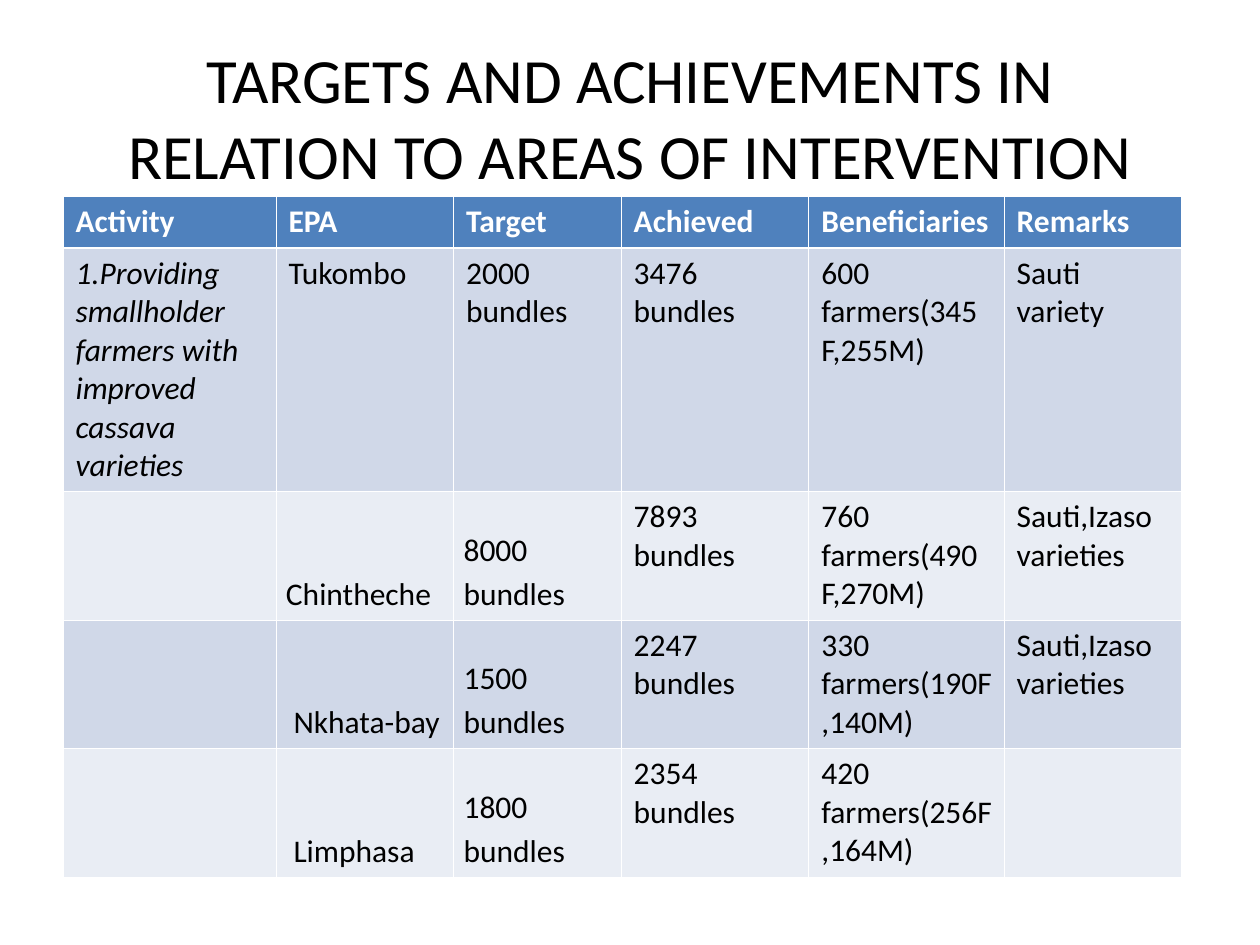
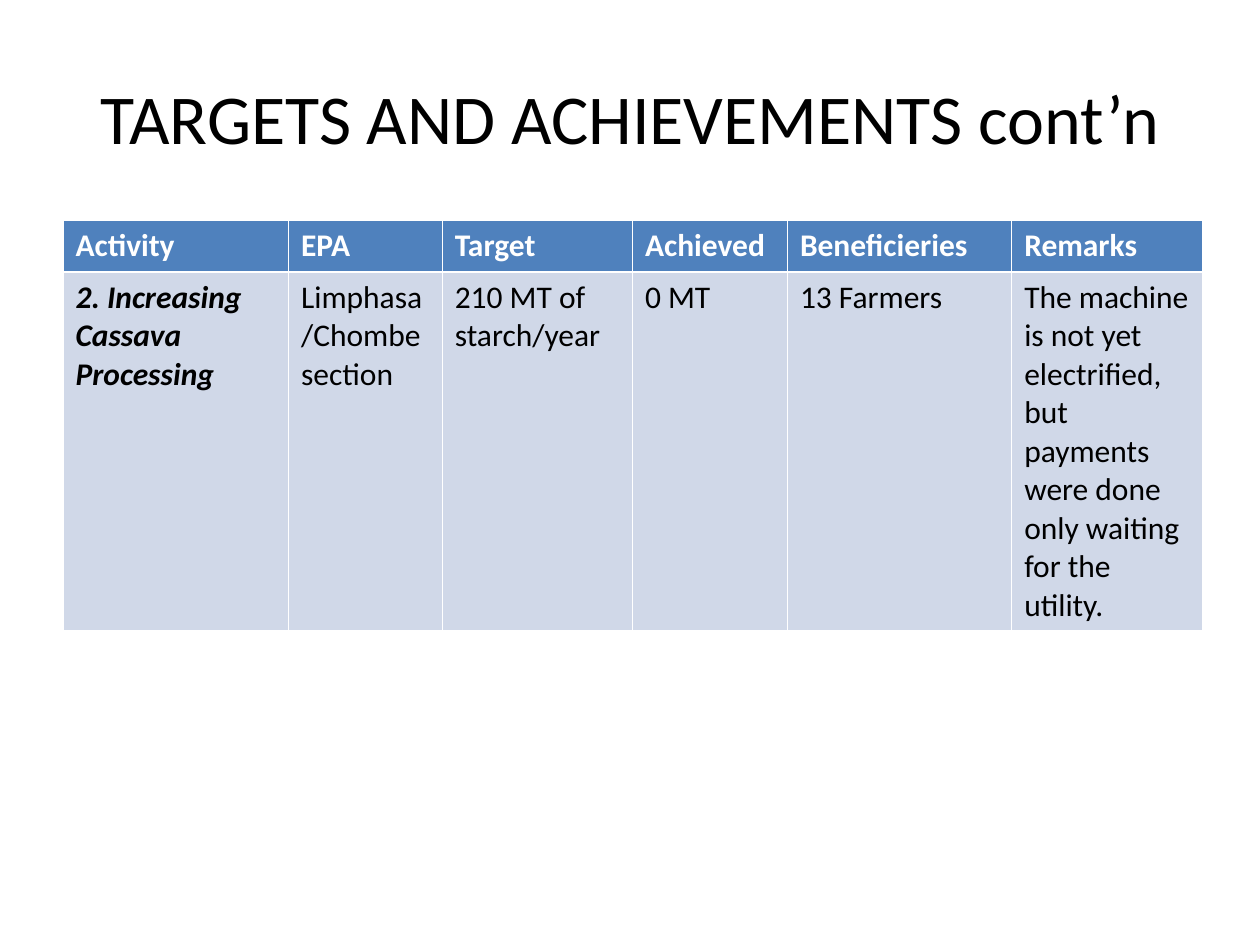
from lxml import etree
from pptx import Presentation
from pptx.dml.color import RGBColor
from pptx.enum.text import MSO_ANCHOR, MSO_AUTO_SIZE, PP_ALIGN
from pptx.oxml.ns import qn
from pptx.util import Inches, Pt

FONT = "Calibri"
COLORS = {
    "header": "4F81BD",
    "odd_row": "D0D8E8",
    "even_row": "E9EDF4",
    "text": "000000",
    "white": "FFFFFF",
}
THIN, THICK = 0.45, 1.47
TITLE_ONLY = 5

SLIDES = [
    {
        "title": "TARGETS AND ACHIEVEMENTS IN RELATION TO AREAS OF INTERVENTION",
        "title_size": 36,
        "top": 1.56,
        "columns": [1.69, 1.41, 1.33, 1.49, 1.55, 1.41],
        "heights": [0.41, 1.93, 1.02, 1.02, 1.02],
        "bold_activity": False,
        "rows": [
            ["Activity", "EPA", "Target", "Achieved", "Beneficiaries", "Remarks"],
            ["1.Providing smallholder farmers with improved cassava varieties", "Tukombo",
             "2000 bundles", "3476 bundles", "600 farmers(345 F,255M)", "Sauti variety"],
            ["", "Chintheche", "8000 bundles", "7893 bundles",
             "760 farmers(490 F,270M)", "Sauti,Izaso varieties"],
            ["", "Nkhata-bay", "1500 bundles", "2247 bundles",
             "330 farmers(190F,140M)", "Sauti,Izaso varieties"],
            ["", "Limphasa", "1800 bundles", "2354 bundles",
             "420 farmers(256F,164M)", ""],
        ],
    },
    {
        "title": "TARGETS AND ACHIEVEMENTS cont’n",
        "title_size": 40,
        "top": 1.75,
        "columns": [1.79, 1.22, 1.51, 1.23, 1.78, 1.51],
        "heights": [0.41, 2.8],
        "bold_activity": True,
        "rows": [
            ["Activity", "EPA", "Target", "Achieved", "Beneficieries", "Remarks"],
            ["2. Increasing Cassava Processing", "Limphasa/Chombe section",
             "210 MT of starch/year", "0 MT", "13 Farmers",
             "The machine is not yet electrified, but payments were done "
             "only waiting for the utility."],
        ],
    },
]


def style_text(para, size, color, bold=False, italic=False):
    for span in para.runs:
        font = span.font
        font.name, font.size = FONT, Pt(size)
        font.bold, font.italic = bold, italic
        font.color.rgb = RGBColor.from_string(COLORS[color])


def set_borders(cell, top, bottom):
    """Draw white borders; they must precede the fill in the cell properties."""
    properties = cell._tc.get_or_add_tcPr()
    widths = {"lnL": THIN, "lnR": THIN, "lnT": top, "lnB": bottom}
    for position, (side, width) in enumerate(widths.items()):
        line = etree.Element(qn(f"a:{side}"), w=str(Pt(width)))
        fill = etree.SubElement(line, qn("a:solidFill"))
        etree.SubElement(fill, qn("a:srgbClr"), val=COLORS["white"])
        properties.insert(position, line)


deck = Presentation()
deck.slide_width, deck.slide_height = Inches(10), Inches(7.5)

for content in SLIDES:
    page = deck.slides.add_slide(deck.slide_layouts[TITLE_ONLY])

    title = page.shapes.title
    title.left, title.top = Inches(0.5), Inches(0.3)
    title.width, title.height = Inches(9), Inches(1.25)
    frame = title.text_frame
    frame.text = content["title"]
    frame.word_wrap = True
    frame.auto_size = MSO_AUTO_SIZE.NONE
    frame.vertical_anchor = MSO_ANCHOR.MIDDLE
    frame.paragraphs[0].alignment = PP_ALIGN.CENTER
    style_text(frame.paragraphs[0], content["title_size"], "text")

    rows, columns, heights = content["rows"], content["columns"], content["heights"]
    table = page.shapes.add_table(
        len(rows), len(columns), Inches(0.5), Inches(content["top"]),
        Inches(sum(columns)), Inches(sum(heights))).table
    for column, width in zip(table.columns, columns):
        column.width = Inches(width)
    for row, height in zip(table.rows, heights):
        row.height = Inches(height)

    for r, row in enumerate(rows):
        is_header = r == 0
        row_fill = "header" if is_header else "odd_row" if r % 2 else "even_row"
        for c, text in enumerate(row):
            cell = table.cell(r, c)
            cell.fill.solid()
            cell.fill.fore_color.rgb = RGBColor.from_string(COLORS[row_fill])
            set_borders(cell, THICK if r == 1 else THIN, THICK if is_header else THIN)

            para = cell.text_frame.paragraphs[0]
            para.text = text
            is_activity = c == 0 and not is_header
            style_text(para, 18, "white" if is_header else "text",
                       bold=is_header or (is_activity and content["bold_activity"]),
                       italic=is_activity)

            # EPA and target sit at the foot of the cell below the first area
            if r > 1 and c in (1, 2):
                cell.vertical_anchor = MSO_ANCHOR.BOTTOM
                cell.margin_left = Inches(0.14 if c == 1 and r > 2 else 0.08)
                cell.margin_right = Inches(0.08)
                para.line_spacing = 1.15

deck.save("out.pptx")
